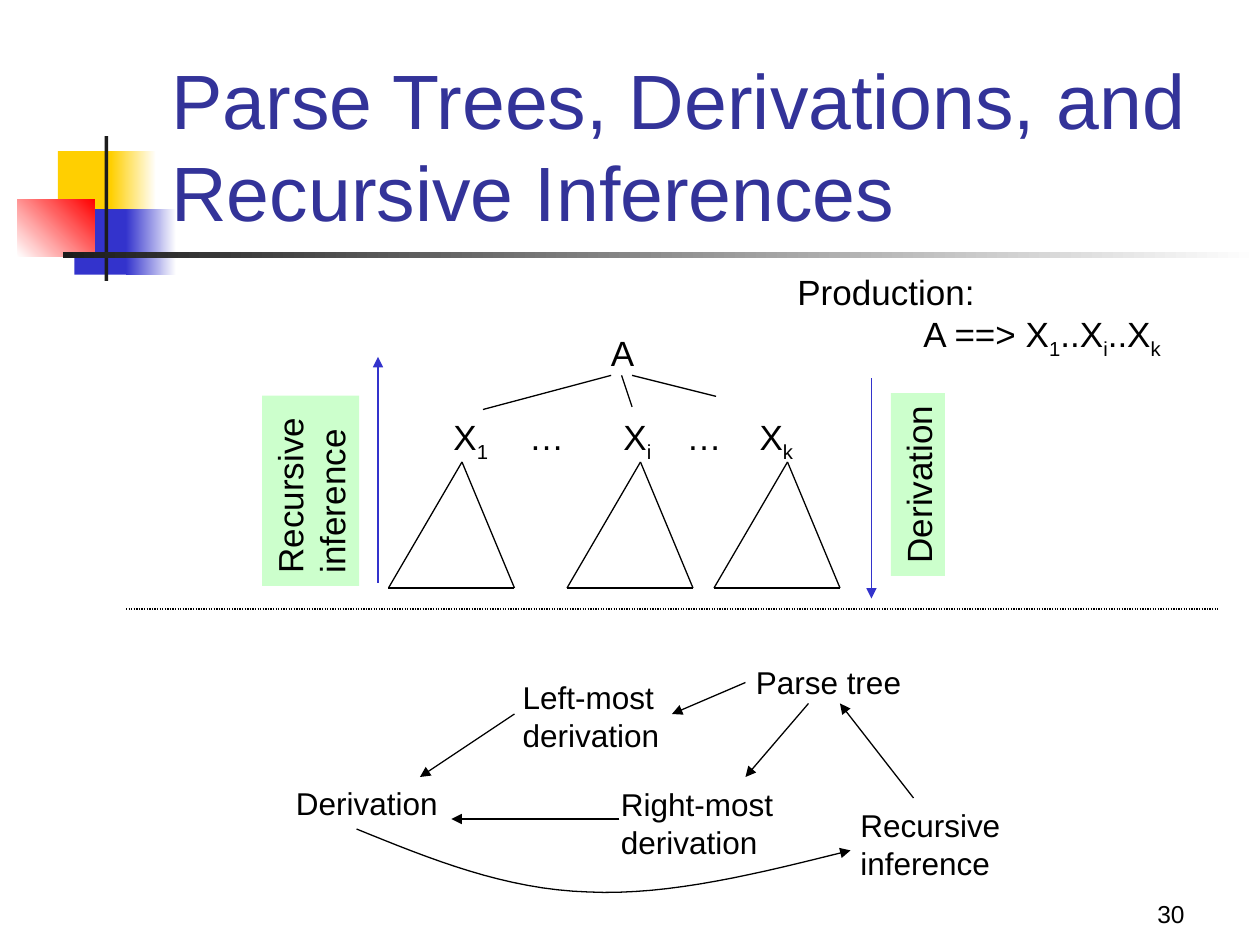
from pptx import Presentation
from pptx.dml.color import RGBColor
from pptx.enum.dml import MSO_LINE
from pptx.enum.shapes import MSO_CONNECTOR, MSO_SHAPE
from pptx.enum.text import MSO_ANCHOR, MSO_AUTO_SIZE, PP_ALIGN
from pptx.oxml.ns import qn
from pptx.util import Inches, Pt
from lxml import etree

RECT, LINE = MSO_SHAPE.RECTANGLE, MSO_CONNECTOR.STRAIGHT
TOP, BOTTOM = MSO_ANCHOR.TOP, MSO_ANCHOR.BOTTOM
LEFT, RIGHT = PP_ALIGN.LEFT, PP_ALIGN.RIGHT
GROW, FIXED = MSO_AUTO_SIZE.SHAPE_TO_FIT_TEXT, MSO_AUTO_SIZE.NONE
DOTS = MSO_LINE.ROUND_DOT

THEME = dict(font="Arial", ink="000000", title="333399", blue="3333CC",
             gold="FFCF01", red="FF0000", dark="1C1C1C", white="FFFFFF",
             tag="CCFFCC", big=44, tree=20, flow=18, small=14, line=0.75)
UNIT = 1 / 12  # grid step in inches for all lines

# Content: "_" sets the next letter as subscript, "\v" breaks a line
TITLE = "Parse Trees, Derivations, and Recursive Inferences"
NUMBER = "30"
# Decoration: left, top, width, height, colour, end colour, angle
DECOR = [
    (0.46, 1.2, 0.48, 0.52, "gold", None, 0),
    (0.88, 1.2, 0.36, 0.52, "gold", "white", 0),
    (0.59, 1.66, 0.46, 0.52, "blue", None, 0),
    (1, 1.66, 0.4, 0.52, "blue", "white", 0),
    (0.14, 1.58, 0.61, 0.46, "white", "red", 45),
    (0.83, 1.08, 0.03, 1.15, "dark", None, 0),
    (0.5, 2, 9.5, 0.05, "dark", "white", 0),
]
ROW = [("X_1", 3.5, 0.49), ("…", 4.1, 0.48), ("X_i", 4.85, 0.43),
       ("…", 5.35, 0.48), ("X_k", 5.93, 0.48)]
TAGS = [("Recursive\ninference", (1.71, 3.51, 1.51, 0.77)),
        ("Derivation", (6.56, 3.63, 1.45, 0.43))]
RULE = "Production:\n\tA ==> X_1..X_i..X_k"
FLOW = [("Parse tree", (5.9, 5.21, 1.35, 0.4)),
        ("Left-most\vderivation", (4.05, 5.33, 1.32, 0.7)),
        ("Right-most\vderivation", (4.83, 6.18, 1.41, 0.7)),
        ("Derivation", (2.25, 6.17, 1.35, 0.4)),
        ("Recursive\vinference", (6.73, 6.35, 1.33, 0.7))]
# Lines in grid steps: x1, y1, x2, y2
EDGES = [(58.2, 35.75, 46, 39), (59.2, 35.75, 60.2, 38.75),
         (60.2, 35.75, 68.2, 37.75)]
PEAKS = [(44, 37), (61, 54), (75, 68)]  # apex x, base left x
SIDES = [(36, 55.5, 36, 34), (83, 36, 83, 57)]
STEPS = [(71, 65, 64, 68), (77, 67, 71, 74), (49, 68, 40, 74),
         (59, 78, 43, 78), (87, 76, 80, 67)]
CURVE = [[(2.83, 6.58), (3.42, 6.82), (4.01, 7.06), (4.67, 7.08)],
         [(4.67, 7.08), (5.32, 7.11), (6.03, 6.93), (6.75, 6.75)]]

deck = Presentation()
deck.slide_width, deck.slide_height = Inches(10), Inches(7.5)
slide = deck.slides.add_slide(deck.slide_layouts[5])
shapes = slide.shapes


def rgb(name):
    return RGBColor.from_string(THEME[name])


def place(box):
    return [Inches(v) for v in box]


def write(text, box=None, shape=None, size="tree", color="ink", align=LEFT,
          anchor=TOP, wrap=False, fit=GROW):
    shape = shape or shapes.add_textbox(*place(box))
    frame = shape.text_frame
    frame.word_wrap, frame.auto_size = wrap, fit
    frame.vertical_anchor = anchor
    for n, words in enumerate(text.split("\n")):
        para = frame.add_paragraph() if n else frame.paragraphs[0]
        para.alignment = align
        if "\t" in words:
            tabs = etree.SubElement(para._p.get_or_add_pPr(), qn("a:tabLst"))
            etree.SubElement(tabs, qn("a:tab"), pos=str(Inches(1)), algn="l")
        for k, part in enumerate(words.split("\v")):
            if k:
                para.add_line_break()
            first, *rest = part.split("_")
            bits = [(first, False)]
            for bit in rest:
                bits += [(bit[0], True), (bit[1:], False)]
            for bit, sub in bits:
                if not bit:
                    continue
                run = para.add_run()
                run.text = bit
                font = run.font
                font.name, font.size = THEME["font"], Pt(THEME[size])
                font.color.rgb = rgb(color)
                if sub:
                    font._element.set("baseline", "-25000")
    return shape


def block(box, color, end=None, angle=0):
    shape = shapes.add_shape(RECT, *place(box))
    shape.shadow.inherit = False
    shape.line.fill.background()
    if end:
        shape.fill.gradient()
        shape.fill.gradient_angle = angle
        for stop, name, pos in zip(shape.fill.gradient_stops, (color, end), (0, 1)):
            stop.color.rgb, stop.position = rgb(name), pos
    else:
        shape.fill.solid()
        shape.fill.fore_color.rgb = rgb(color)
    return shape


def stroke(shape, color="ink", arrow=False):
    shape.line.color.rgb, shape.line.width = rgb(color), Pt(THEME["line"])
    if arrow:
        etree.SubElement(shape.line._get_or_add_ln(), qn("a:tailEnd"), type="triangle")


def link(ends, color="ink", arrow=False):
    line = shapes.add_connector(LINE, *place(v * UNIT for v in ends))
    stroke(line, color, arrow)
    etree.SubElement(line._element.spPr, qn("a:effectLst"))
    return line


def bend(a, b, c, d, t):
    u = 1 - t
    return tuple(Inches(u**3 * p + 3 * u * u * t * q + 3 * u * t * t * r + t**3 * s)
                 for p, q, r, s in zip(a, b, c, d))


# Decoration, title and slide number
for *box, color, end, angle in DECOR:
    block(box, color, end, angle)
head = shapes.title
head.left, head.top, head.width, head.height = place((1.26, 0.68, 8.52, 1.25))
write(TITLE, shape=head, size="big", color="title", anchor=BOTTOM,
      wrap=True, fit=FIXED)
write(NUMBER, (7.42, 6.92, 2.08, 0.5), size="small", align=RIGHT,
      anchor=BOTTOM, wrap=True, fit=FIXED)
link((12, 58, 116, 58)).line.dash_style = DOTS

# Parse tree
write("A", (4.75, 2.58, 0.39, 0.43))
for text, x, width in ROW:
    write(text, (x, 3.25, width, 0.43))
for ends in EDGES:
    link(ends)
for peak, base in PEAKS:
    link((peak, 44, base, 56))
    link((base, 56, base + 12, 56))
    link((peak, 44, base + 12, 56))

# Directions and production rule
for ends in SIDES:
    link(ends, "blue", True)
for text, box in TAGS:
    tag = write(text, shape=block(box, "tag"))
    tag.rotation = 270
write(RULE, (6.23, 2.1, 3.12, 0.77))

# Cycle of proofs
for text, box in FLOW:
    write(text, box, size="flow", fit=FIXED)
for ends in STEPS:
    link(ends, arrow=True)
dots = [bend(*part, n / 16) for part in CURVE for n in range(1, 17)]
pen = shapes.build_freeform(*place(CURVE[0][0]))
pen.add_line_segments(dots, close=False)
arc = pen.convert_to_shape()
arc.shadow.inherit = False
arc.fill.background()
stroke(arc, arrow=True)

deck.save("out.pptx")
